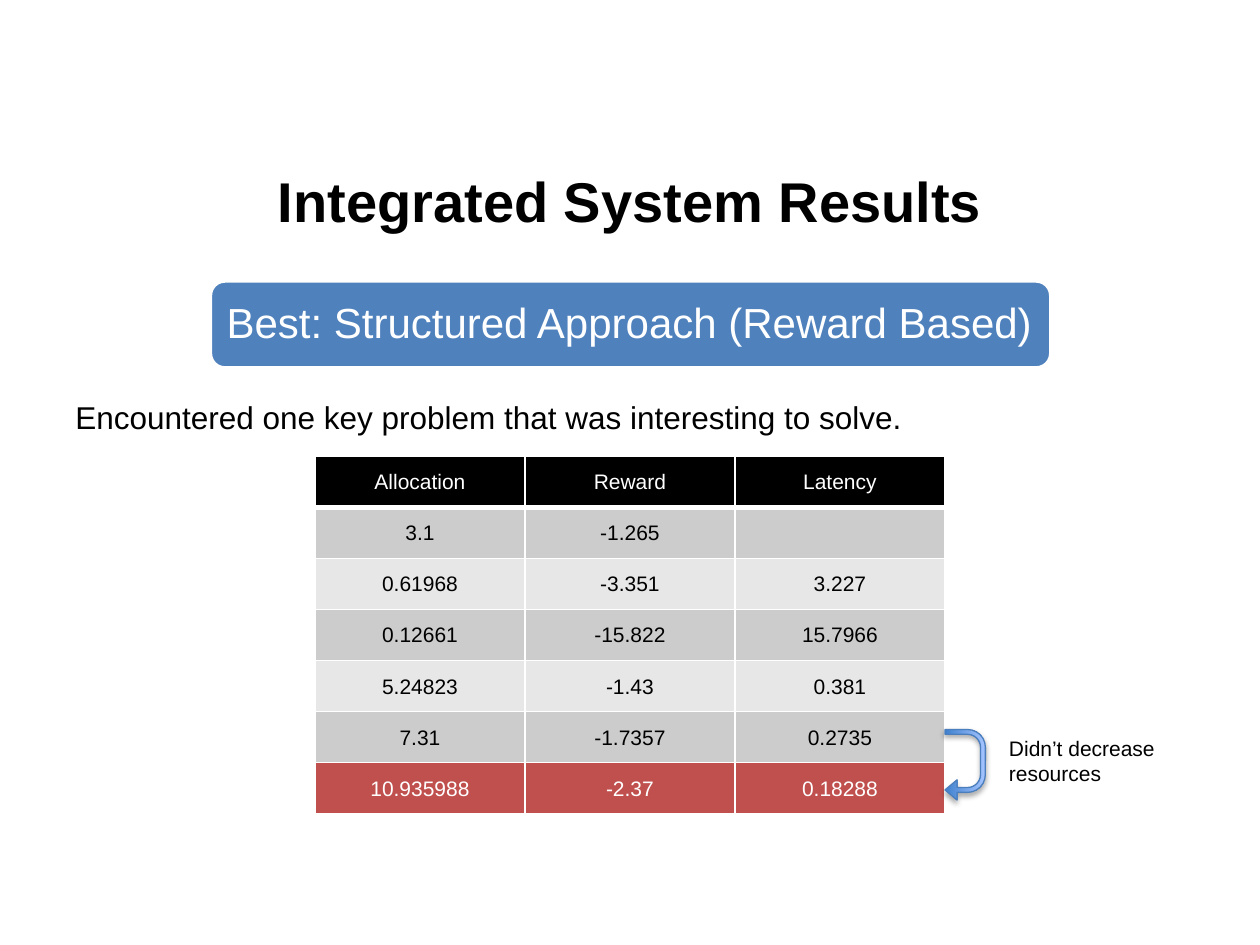
from dataclasses import dataclass

from lxml import etree
from pptx import Presentation
from pptx.dml.color import RGBColor
from pptx.enum.shapes import MSO_SHAPE
from pptx.enum.text import MSO_ANCHOR, PP_ALIGN
from pptx.oxml.ns import qn
from pptx.util import Pt

PX = 9144  # EMU per px, at 100 px to the inch


@dataclass(frozen=True)
class Theme:
    font: str = "Arial"
    black: str = "000000"
    white: str = "FFFFFF"
    banner: str = "4F81BD"
    bands: tuple = ("CCCCCC", "E7E7E7")
    alert: str = "C0504D"
    arrow_dark: str = "3F80CE"
    arrow_light: str = "A4C4FF"
    arrow_line: str = "4B7EBC"
    title_size: int = 32
    banner_size: int = 24
    body_size: int = 18
    small_size: int = 12


THEME = Theme()

RESULTS = [
    ("Allocation", "Reward", "Latency"),
    ("3.1", "-1.265", ""),
    ("0.61968", "-3.351", "3.227"),
    ("0.12661", "-15.822", "15.7966"),
    ("5.24823", "-1.43", "0.381"),
    ("7.31", "-1.7357", "0.2735"),
    ("10.935988", "-2.37", "0.18288"),
]


def rgb(value):
    return RGBColor.from_string(value)


def emu(*lengths):
    return [round(length * PX) for length in lengths]


def write(frame, text, *, size, color=THEME.black, bold=False,
          align=PP_ALIGN.LEFT, anchor=MSO_ANCHOR.TOP, spacing=1.0):
    frame.word_wrap = True
    frame.vertical_anchor = anchor
    paragraph = frame.paragraphs[0]
    paragraph.alignment = align
    paragraph.line_spacing = spacing
    if not text:
        return
    run = paragraph.add_run()
    run.text = text
    run.font.name = THEME.font
    run.font.size = Pt(size)
    run.font.bold = bold
    run.font.color.rgb = rgb(color)


def place_title(slide, box):
    title = slide.shapes.title
    title.left, title.top, title.width, title.height = emu(*box)
    write(title.text_frame, "Integrated System Results", size=THEME.title_size,
          bold=True, align=PP_ALIGN.CENTER, anchor=MSO_ANCHOR.MIDDLE)


def add_banner(slide, box):
    left, top, width, height = box
    inset = 3
    group = slide.shapes.add_group_shape()
    plate = group.shapes.add_shape(MSO_SHAPE.ROUNDED_RECTANGLE, *emu(*box))
    plate.shadow.inherit = False
    plate.fill.solid()
    plate.fill.fore_color.rgb = rgb(THEME.banner)
    plate.line.color.rgb = rgb(THEME.white)
    plate.line.width = Pt(2)
    message = group.shapes.add_textbox(*emu(
        left + inset, top + inset, width - 2 * inset, height - 2 * inset))
    write(message.text_frame, "Best: Structured Approach (Reward Based)",
          size=THEME.banner_size, color=THEME.white,
          anchor=MSO_ANCHOR.MIDDLE, spacing=0.9)


def add_note(slide, box, text, size):
    note = slide.shapes.add_textbox(*emu(*box))
    write(note.text_frame, text, size=size)


def set_borders(cell, widths):
    properties = cell._tc.get_or_add_tcPr()
    for position, (side, points) in enumerate(widths.items()):
        line = etree.Element(qn(f"a:ln{side}"), w=str(Pt(points)))
        fill = etree.SubElement(line, qn("a:solidFill"))
        etree.SubElement(fill, qn("a:srgbClr"), val=THEME.white)
        properties.insert(position, line)


def row_colors(row):
    """Return the fill and text colours of a table row."""
    if row == 0:
        return THEME.black, THEME.white
    if row == len(RESULTS) - 1:
        return THEME.alert, THEME.white
    return THEME.bands[(row - 1) % 2], THEME.black


def add_results(slide, box):
    table = slide.shapes.add_table(
        len(RESULTS), len(RESULTS[0]), *emu(*box)).table
    for row, values in enumerate(RESULTS):
        fill, color = row_colors(row)
        # A thick rule parts the header from the data
        borders = {"L": 1, "R": 1, "T": 3 if row == 1 else 1,
                   "B": 3 if row == 0 else 1}
        for column, value in enumerate(values):
            cell = table.cell(row, column)
            cell.fill.solid()
            cell.fill.fore_color.rgb = rgb(fill)
            cell.margin_left = cell.margin_right = cell.margin_top = PX
            cell.margin_bottom = 0
            cell.vertical_anchor = MSO_ANCHOR.MIDDLE
            write(cell.text_frame, value, size=THEME.small_size, color=color,
                  align=PP_ALIGN.CENTER, anchor=None)
            set_borders(cell, borders)


def add_return_arrow(slide, box):
    arrow = slide.shapes.add_shape(MSO_SHAPE.U_TURN_ARROW, *emu(*box))
    arrow.rotation = 90
    for index, value in enumerate((0.12, 0.25, 0.3, 0.44, 1)):
        arrow.adjustments[index] = value
    arrow.fill.gradient()
    arrow.fill.gradient_angle = 90
    for stop, color in zip(arrow.fill.gradient_stops,
                           (THEME.arrow_dark, THEME.arrow_light)):
        stop.color.rgb = rgb(color)
    arrow.line.color.rgb = rgb(THEME.arrow_line)
    arrow.line.width = Pt(0.75)
    # Soft shadow below the arrow
    arrow.shadow.inherit = False
    effects = arrow._element.spPr.find(qn("a:effectLst"))
    shadow = etree.SubElement(
        effects, qn("a:outerShdw"), blurRad=str(Pt(3.1)), dist=str(Pt(1.8)),
        dir="5400000", rotWithShape="0")
    shade = etree.SubElement(shadow, qn("a:srgbClr"), val=THEME.black)
    etree.SubElement(shade, qn("a:alpha"), val="35000")


def main():
    deck = Presentation()
    deck.slide_width, deck.slide_height = emu(1000, 750)
    slide = deck.slides.add_slide(deck.slide_layouts[5])
    place_title(slide, (50, 115, 900, 88))
    add_banner(slide, (167, 223, 667, 69))
    add_note(slide, (50, 311, 829, 40),
             "Encountered one key problem that was interesting to solve.",
             THEME.body_size)
    add_results(slide, (250, 362, 500, 284))
    add_return_arrow(slide, (738, 591, 56, 32))
    add_note(slide, (791, 579, 190, 50), "Didn’t decrease resources",
             THEME.small_size)
    deck.save("out.pptx")


if __name__ == "__main__":
    main()
